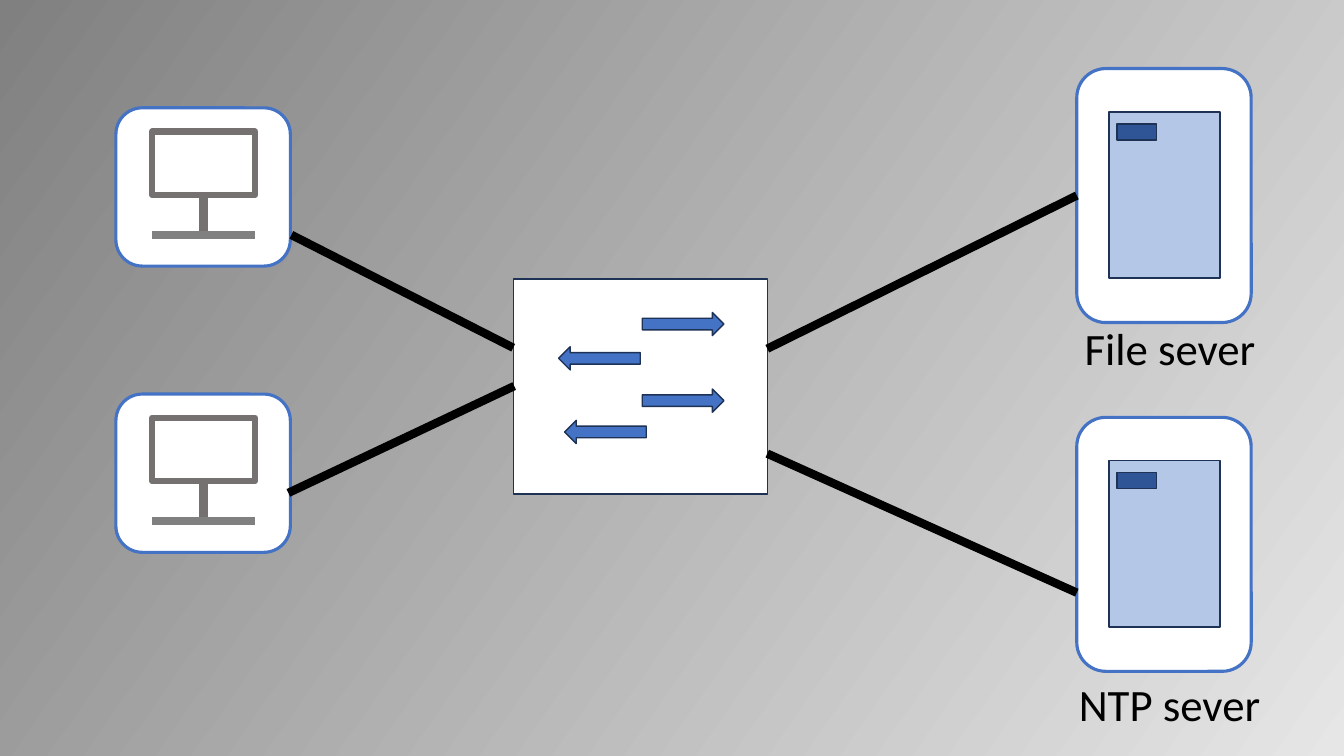
import pptx
import pptx.dml.color
import pptx.enum.shapes
import pptx.enum.text
import pptx.util
from lxml import etree
from pptx.oxml.ns import qn
from pptx.util import Inches

SHAPE = pptx.enum.shapes.MSO_SHAPE
BLUE = "4472C4"
NAVY = "1E3256"
GREY = "767171"
WHITE = "FFFFFF"


def rgb(value):
    return pptx.dml.color.RGBColor.from_string(value)


def set_background(s, start, end, clockwise_angle):
    fill = s.background.fill
    fill.gradient()
    fill.gradient_angle = 360 - clockwise_angle
    for stop, color in zip(fill.gradient_stops, (start, end)):
        stop.color.rgb = rgb(color)


def add_box(parent, kind, x, y, w, h, fill, line, width=1):
    sp = parent.shapes.add_shape(kind, Inches(x), Inches(y), Inches(w), Inches(h))
    sp.shadow.inherit = False
    if fill:
        sp.fill.solid()
        sp.fill.fore_color.rgb = rgb(fill)
    else:
        sp.fill.background()
    sp.line.color.rgb = rgb(line)
    sp.line.width = pptx.util.Pt(width)
    return sp


def add_line(parent, x1, y1, x2, y2, color="000000"):
    line = parent.shapes.add_connector(
        pptx.enum.shapes.MSO_CONNECTOR.STRAIGHT,
        Inches(x1), Inches(y1), Inches(x2), Inches(y2))
    line.line.color.rgb = rgb(color)
    line.line.width = pptx.util.Pt(6)
    etree.SubElement(line._element.spPr, qn("a:effectLst"))


def add_label(s, text, x, y, w):
    tf = s.shapes.add_textbox(Inches(x), Inches(y), Inches(w), Inches(0.64)).text_frame
    tf.word_wrap = False
    tf.auto_size = pptx.enum.text.MSO_AUTO_SIZE.SHAPE_TO_FIT_TEXT
    tf.text = text
    p = tf.paragraphs[0]
    p.alignment = pptx.enum.text.PP_ALIGN.CENTER
    font = p.runs[0].font
    font.name = "Calibri"
    font.size = pptx.util.Pt(32)
    font.color.rgb = rgb("000000")


def add_computer(s, x, y):
    group = s.shapes.add_group_shape()
    add_box(group, SHAPE.ROUNDED_RECTANGLE, x, y, 1.73, 1.57, WHITE, BLUE, 2.25)
    add_box(group, SHAPE.RECTANGLE, x + 0.36, y + 0.235, 1.02, 0.63, None, GREY, 4.5)
    add_line(group, x + 0.87, y + 0.87, x + 0.87, y + 1.26, GREY)
    add_line(group, x + 0.36, y + 1.26, x + 1.38, y + 1.26, "808080")


def add_server(s, x, y):
    group = s.shapes.add_group_shape()
    add_box(group, SHAPE.ROUNDED_RECTANGLE, x, y, 1.73, 2.52, WHITE, BLUE, 2.25)
    add_box(group, SHAPE.RECTANGLE, x + 0.32, y + 0.43, 1.1, 1.65, "B4C7E7", NAVY)
    add_box(group, SHAPE.RECTANGLE, x + 0.4, y + 0.55, 0.39, 0.16, "2F5597", NAVY)


def add_switch(s):
    group = s.shapes.add_group_shape()
    add_box(group, SHAPE.RECTANGLE, 5.09, 2.77, 2.52, 2.13, WHITE, NAVY)
    for x, y, rotation in ((6.37, 3.1, 0), (6.37, 3.86, 0),
                           (5.54, 3.44, 180), (5.6, 4.17, 180)):
        arrow = add_box(group, SHAPE.RIGHT_ARROW, x, y, 0.81, 0.23, BLUE, NAVY)
        arrow.rotation = rotation


def main():
    prs = pptx.Presentation()
    prs.slide_width, prs.slide_height = Inches(13.33), Inches(7.5)
    s = prs.slides.add_slide(prs.slide_layouts[6])
    set_background(s, "808080", "E7E6E6", 35)

    for y in (1.07, 3.91):
        add_computer(s, 1.15, y)
    for y in (0.68, 4.14):
        add_server(s, 10.68, y)
    add_label(s, "File sever", 10.65, 3.13, 1.91)
    add_label(s, "NTP sever", 10.59, 6.66, 2.02)
    add_switch(s)

    for cable in ((2.89, 2.33, 5.09, 3.45), (2.86, 4.89, 5.1, 3.83),
                  (7.61, 3.46, 10.68, 1.94), (7.61, 4.5, 10.68, 5.88)):
        add_line(s, *cable)
    prs.save("out.pptx")


if __name__ == "__main__":
    main()
